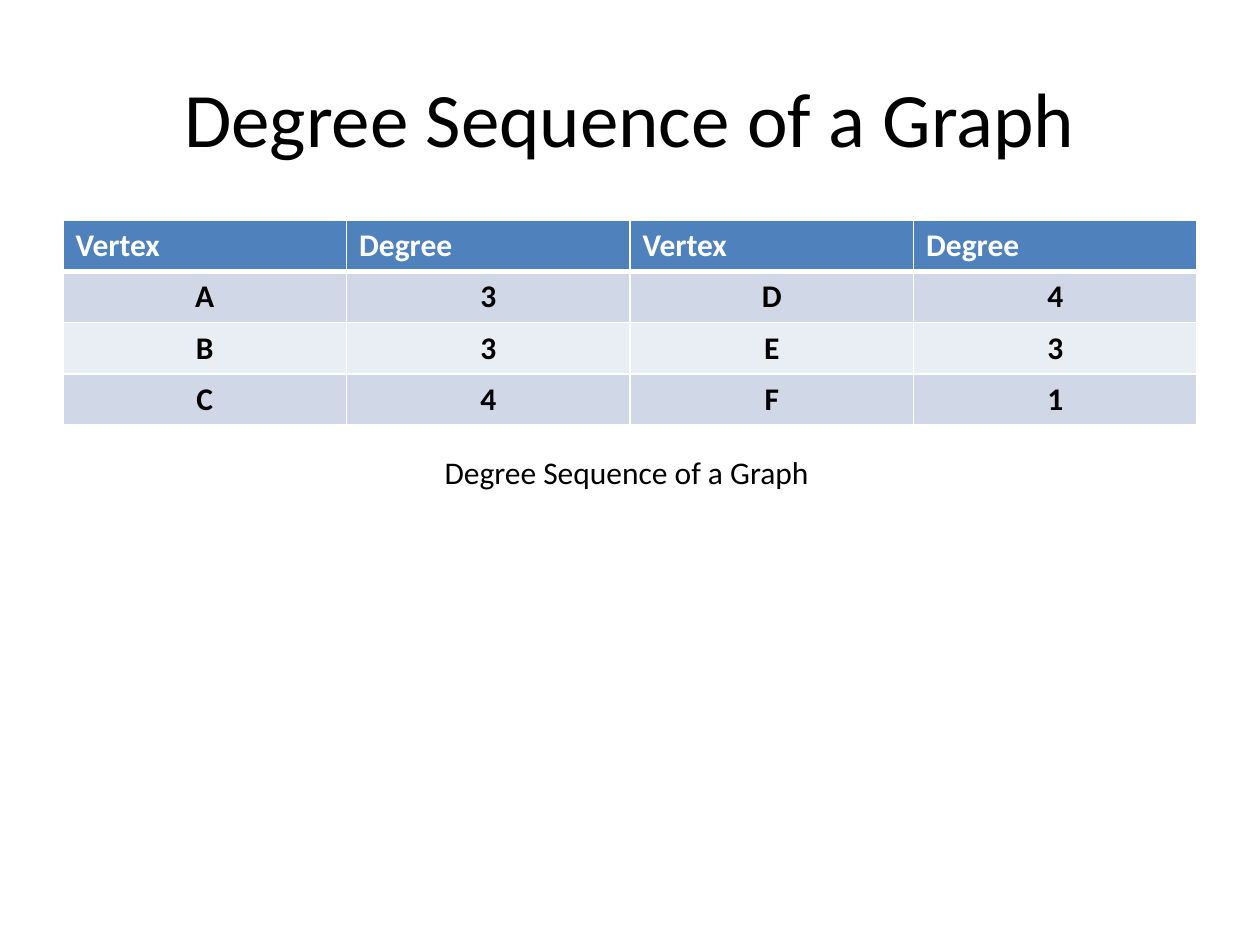
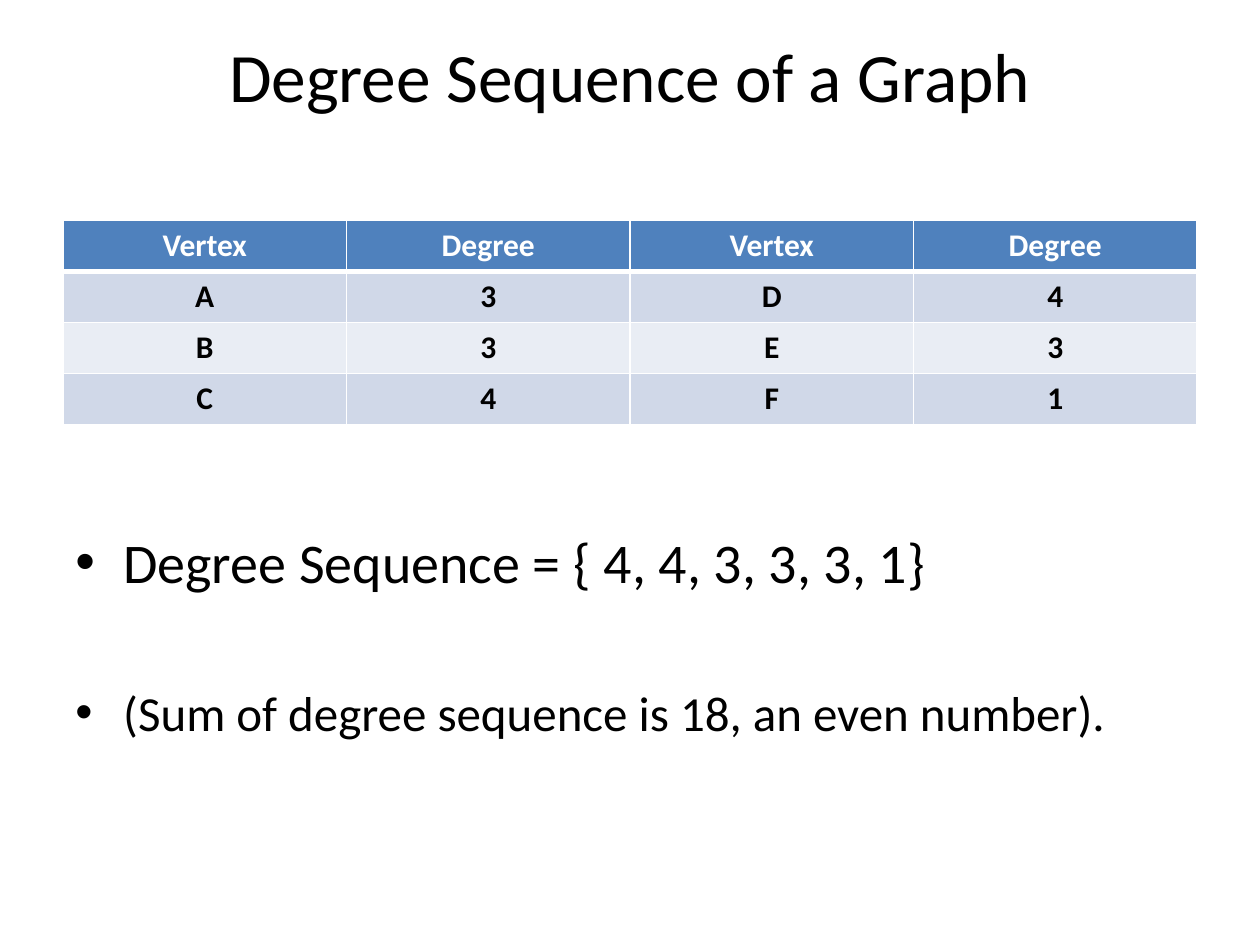
from dataclasses import dataclass

from lxml.etree import SubElement
from pptx import Presentation
from pptx.dml.color import RGBColor
from pptx.enum.text import MSO_ANCHOR as Anchor, MSO_AUTO_SIZE as AutoSize, PP_ALIGN as Align
from pptx.oxml.ns import qn
from pptx.slide import Slide
from pptx.table import _Cell as Cell
from pptx.text.text import TextFrame, _Paragraph as Paragraph
from pptx.util import Emu, Pt

EMU_PER_PX = 9144
FONT = "Calibri"
BLACK = RGBColor(0x00, 0x00, 0x00)
WHITE = RGBColor(0xFF, 0xFF, 0xFF)
HEADER_BLUE = RGBColor(0x4F, 0x81, 0xBD)
BANDS = (RGBColor(0xD0, 0xD8, 0xE8), RGBColor(0xE9, 0xED, 0xF4))

HEADING = "Degree Sequence of a Graph"
TITLE_ONLY = 5
THIN_RULE, HEADER_RULE = 1, 3
BULLET_INDENT = 38

DEGREES = (
    ("Vertex", "Degree", "Vertex", "Degree"),
    ("A", "3", "D", "4"),
    ("B", "3", "E", "3"),
    ("C", "4", "F", "1"),
)


@dataclass(frozen=True)
class Box:
    left: int
    top: int
    width: int
    height: int

    def emu(self) -> tuple[Emu, Emu, Emu, Emu]:
        return px(self.left), px(self.top), px(self.width), px(self.height)


@dataclass(frozen=True)
class TitleStyle:
    box: Box
    size: float
    anchor: Anchor
    margin_top: int


@dataclass(frozen=True)
class Bullet:
    text: str
    size: int
    space_before: int


CENTRED_TITLE = TitleStyle(Box(50, 30, 900, 125), 44, Anchor.MIDDLE, 5)
RAISED_TITLE = TitleStyle(Box(50, 26, 900, 129), 39.6, Anchor.TOP, 0)
TABLE_BOX = Box(50, 175, 900, 162)
CAPTION_BOX = Box(343, 355, 313, 40)
BULLETS_BOX = Box(50, 414, 900, 256)

BULLETS = (
    Bullet("Degree Sequence = { 4, 4, 3, 3, 3, 1}", 32, 6),
    Bullet("(Sum of degree sequence is 18, an even number).", 28, 50),
)


def px(length: int) -> Emu:
    return Emu(length * EMU_PER_PX)


def format_runs(paragraph: Paragraph, size: float, color: RGBColor = BLACK, bold: bool = False) -> None:
    for run in paragraph.runs:
        run.font.name = FONT
        run.font.size = Pt(size)
        run.font.bold = bold
        run.font.color.rgb = color


def add_titled_slide(deck: Presentation, style: TitleStyle) -> Slide:
    slide = deck.slides.add_slide(deck.slide_layouts[TITLE_ONLY])
    title = slide.shapes.title
    title.left, title.top, title.width, title.height = style.box.emu()
    frame = title.text_frame
    frame.text = HEADING
    frame.auto_size = AutoSize.NONE
    frame.vertical_anchor = style.anchor
    frame.margin_top = px(style.margin_top)
    heading = frame.paragraphs[0]
    heading.alignment = Align.CENTER
    format_runs(heading, style.size)
    return slide


def add_text_frame(slide: Slide, box: Box, wrap: bool) -> TextFrame:
    frame = slide.shapes.add_textbox(*box.emu()).text_frame
    frame.word_wrap = wrap
    return frame


def draw_borders(cell: Cell, top: int, bottom: int) -> None:
    properties = cell._tc.get_or_add_tcPr()
    for side, points in (("L", THIN_RULE), ("R", THIN_RULE), ("T", top), ("B", bottom)):
        border = SubElement(properties, qn(f"a:ln{side}"), w=str(Pt(points)))
        paint = SubElement(border, qn("a:solidFill"))
        SubElement(paint, qn("a:srgbClr"), val=str(WHITE))


def add_degree_table(slide: Slide, header_alignment: Align) -> None:
    row_count, column_count = len(DEGREES), len(DEGREES[0])
    table = slide.shapes.add_table(row_count, column_count, *TABLE_BOX.emu()).table
    for column in table.columns:
        column.width = px(TABLE_BOX.width) // column_count
    for row_index, entries in enumerate(DEGREES):
        table.rows[row_index].height = px(TABLE_BOX.height) // row_count
        is_header = row_index == 0
        for column_index, entry in enumerate(entries):
            cell = table.cell(row_index, column_index)
            draw_borders(
                cell,
                top=HEADER_RULE if row_index == 1 else THIN_RULE,
                bottom=HEADER_RULE if is_header else THIN_RULE,
            )
            cell.fill.solid()
            cell.fill.fore_color.rgb = HEADER_BLUE if is_header else BANDS[(row_index - 1) % 2]
            cell.text_frame.text = entry
            paragraph = cell.text_frame.paragraphs[0]
            paragraph.alignment = header_alignment if is_header else Align.CENTER
            format_runs(paragraph, 18, WHITE if is_header else BLACK, bold=True)


def add_caption(slide: Slide) -> None:
    frame = add_text_frame(slide, CAPTION_BOX, wrap=False)
    frame.text = HEADING
    frame.auto_size = AutoSize.SHAPE_TO_FIT_TEXT
    format_runs(frame.paragraphs[0], 18)


def add_bullets(slide: Slide) -> None:
    frame = add_text_frame(slide, BULLETS_BOX, wrap=True)
    frame.text = "\n".join(bullet.text for bullet in BULLETS)
    for paragraph, bullet in zip(frame.paragraphs, BULLETS):
        paragraph.space_before = Pt(bullet.space_before)
        format_runs(paragraph, bullet.size)
        properties = paragraph._p.get_or_add_pPr()
        properties.set("marL", str(px(BULLET_INDENT)))
        properties.set("indent", str(px(-BULLET_INDENT)))
        SubElement(properties, qn("a:buFont"), typeface="Arial")
        SubElement(properties, qn("a:buChar"), char="•")


def main() -> None:
    deck = Presentation()
    deck.slide_width, deck.slide_height = px(1000), px(750)

    table_slide = add_titled_slide(deck, CENTRED_TITLE)
    add_degree_table(table_slide, Align.LEFT)
    add_caption(table_slide)

    sequence_slide = add_titled_slide(deck, RAISED_TITLE)
    add_bullets(sequence_slide)
    add_degree_table(sequence_slide, Align.CENTER)

    deck.save("out.pptx")


if __name__ == "__main__":
    main()
